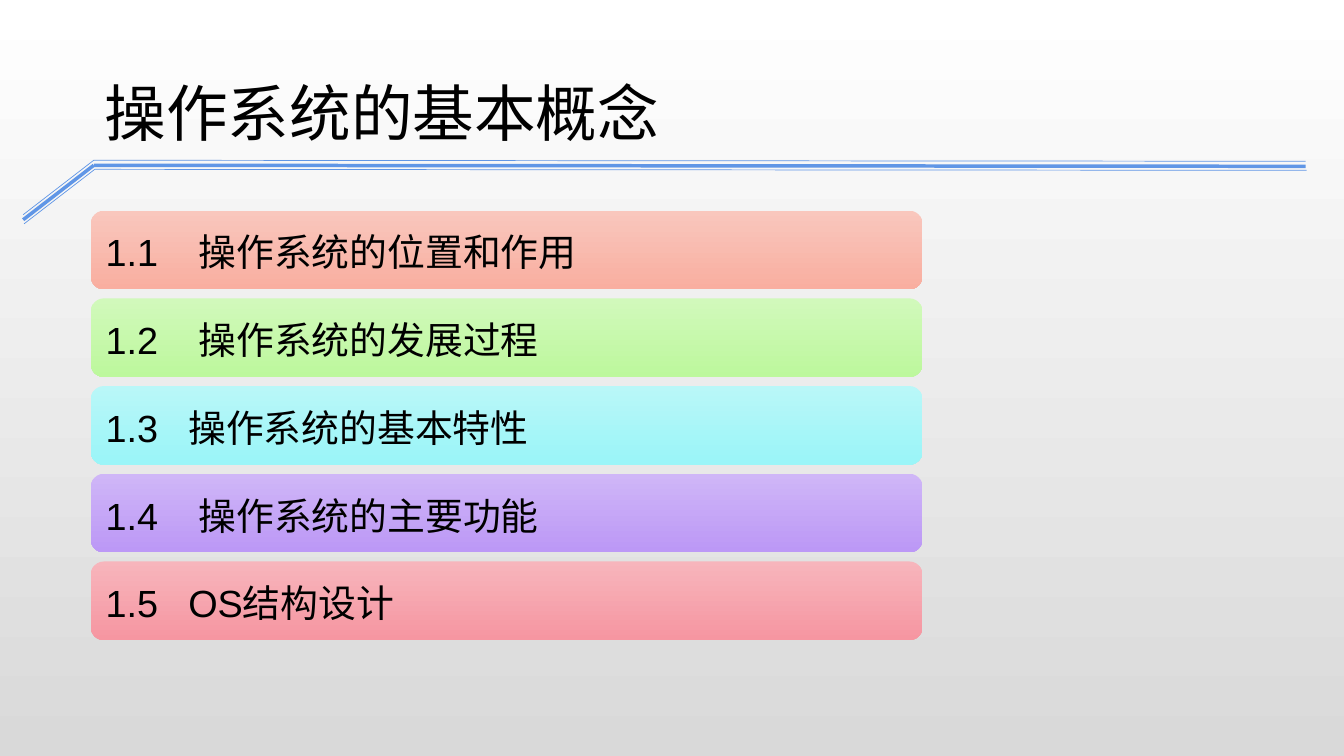
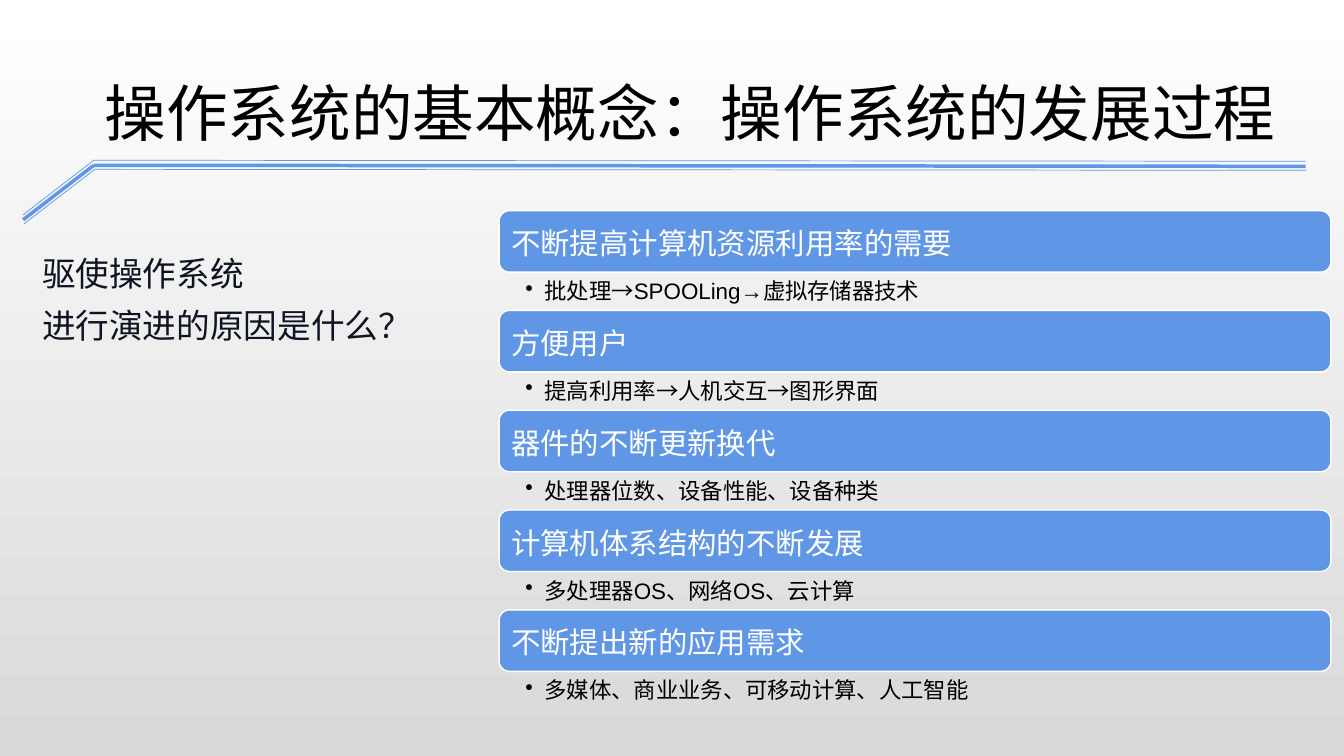
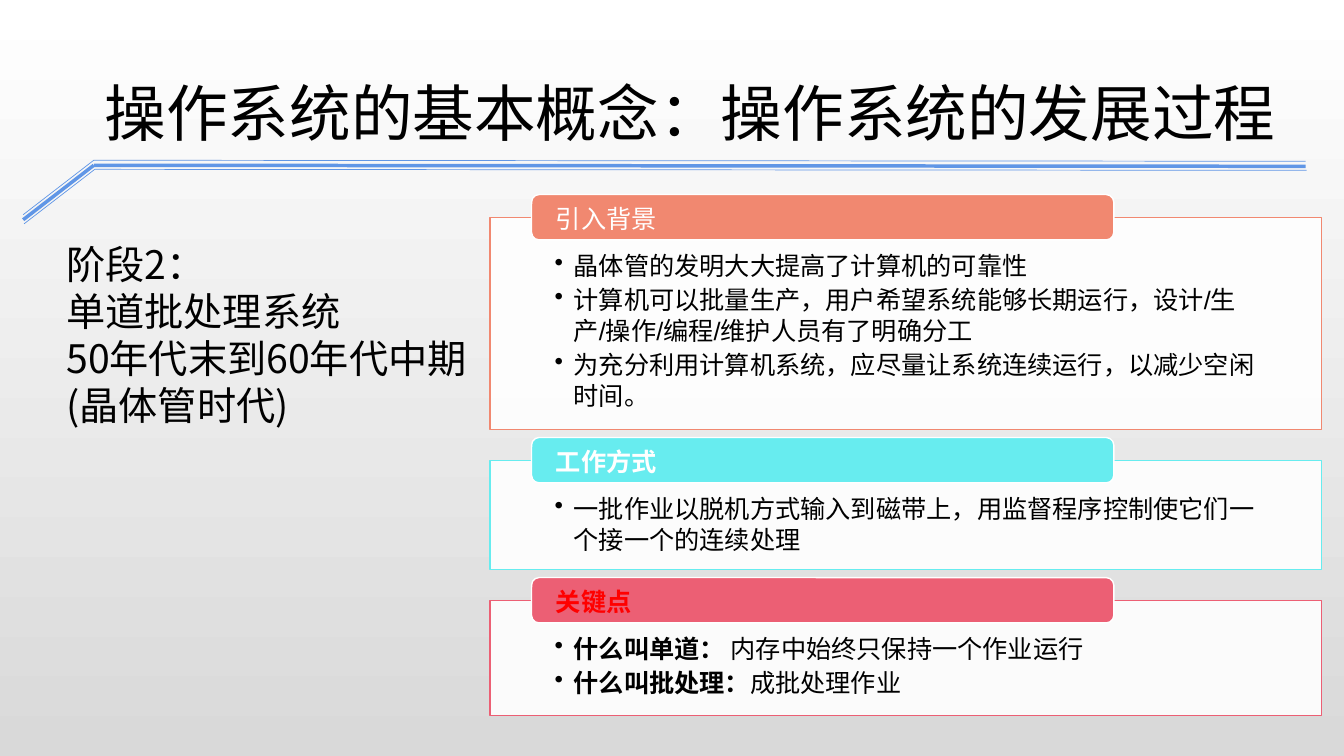
from dataclasses import dataclass

from lxml import etree
from pptx import Presentation
from pptx.dml.color import RGBColor
from pptx.enum.shapes import MSO_CONNECTOR, MSO_SHAPE
from pptx.enum.text import MSO_ANCHOR, PP_ALIGN
from pptx.oxml.ns import qn
from pptx.util import Inches, Pt

ROUND, RECT = MSO_SHAPE.ROUNDED_RECTANGLE, MSO_SHAPE.RECTANGLE
STRAIGHT = MSO_CONNECTOR.STRAIGHT
TOP, MIDDLE = MSO_ANCHOR.TOP, MSO_ANCHOR.MIDDLE
LEFT = PP_ALIGN.LEFT


@dataclass(frozen=True)
class Theme:
    blue: str = "6096E6"
    white: str = "FFFFFF"
    grey: str = "D9D9D9"
    black: str = "000000"
    navy: str = "0F1423"
    red: str = "FF0000"
    coral: str = "F18870"
    cyan: str = "67ECEF"
    rose: str = "EC5F74"
    latin: str = "Arial"
    cjk: str = "Noto Sans CJK JP"
    title: int = 44
    stage: int = 28
    chapter: int = 27
    question: int = 24
    reason: int = 21
    body: int = 18
    detail: int = 16


T = Theme()

# Content
TOPIC = "操作系统的基本概念"
HISTORY = "操作系统的基本概念：操作系统的发展过程"

# number, chapter, tab position, gradient
CHAPTERS = [
    ("1.1", "操作系统的位置和作用", 0.92, ("F9C7BD", "F9AEA0")),
    ("1.2", "操作系统的发展过程", 0.92, ("D1F9BB", "BDF89D")),
    ("1.3", "操作系统的基本特性", 0.82, ("B9F7F8", "9AF5F8")),
    ("1.4", "操作系统的主要功能", 0.92, ("CFB6F7", "BC98F6")),
    ("1.5", "OS结构设计", 0.82, ("F7B5BC", "F696A1")),
]

QUESTION = ["驱使操作系统", "进行演进的原因是什么？"]
REASONS = [
    ("不断提高计算机资源利用率的需要", "批处理→SPOOLing→虚拟存储器技术"),
    ("方便用户", "提高利用率→人机交互→图形界面"),
    ("器件的不断更新换代", "处理器位数、设备性能、设备种类"),
    ("计算机体系结构的不断发展", "多处理器OS、网络OS、云计算"),
    ("不断提出新的应用需求", "多媒体、商业业务、可移动计算、人工智能"),
]

STAGE = ["阶段2：", "单道批处理系统", "50年代末到60年代中期(晶体管时代)"]
# heading, its format, accent, panel height, points (bold lead, rest)
PANELS = [
    ("引入背景", dict(color=T.white), T.coral, 2.1, [
        ("", "晶体管的发明大大提高了计算机的可靠性"),
        ("", "计算机可以批量生产，用户希望系统能够长期运行，"
             "设计/生产/操作/编程/维护人员有了明确分工"),
        ("", "为充分利用计算机系统，应尽量让系统连续运行，以减少空闲时间。"),
    ]),
    ("工作方式", dict(color=T.white, bold=True), T.cyan, 1.08, [
        ("", "一批作业以脱机方式输入到磁带上，用监督程序控制使它们一个接一个的连续处理"),
    ]),
    ("关键点", dict(color=T.red, bold=True), T.rose, 1.14, [
        ("什么叫单道：", " 内存中始终只保持一个作业运行"),
        ("什么叫批处理：", "成批处理作业"),
    ]),
]

# Title rule: one bent path, drawn as three rails (dx, dy, weight)
RULE_PATH = [(0.23, 2.13), (0.93, 1.59), (12.95, 1.6)]
RAILS = [(0, 0, 0.5), (0, 0.05, 2.5), (0.01, 0.09, 0.5)]


# Helpers
def rgb(code):
    return RGBColor.from_string(code)


def gradient(fill, colors):
    fill.gradient()
    fill.gradient_angle = 270
    for stop, color in zip(fill.gradient_stops, colors):
        stop.color.rgb = rgb(color)


def add_run(paragraph, text, size, color, latin, bold=False):
    run = paragraph.add_run()
    run.text = text
    values = dict(size=Pt(size), name=latin, bold=bold)
    for key, value in values.items():
        setattr(run.font, key, value)
    run.font.color.rgb = rgb(color)
    east_asian = etree.SubElement(run.font._element, qn("a:ea"))
    east_asian.set("typeface", T.cjk)


def write(shape, paragraphs, size, color=T.black, latin=T.latin, bold=False,
          insets=(0.1, 0.05, 0.1, 0.05), anchor=TOP, wrap=True,
          leading=1.3, after=0, bullet=False, tab=None):
    """Each paragraph is a string or a (bold lead, rest) pair."""
    frame = shape.text_frame
    sides = ("margin_left", "margin_top", "margin_right", "margin_bottom")
    values = dict(zip(sides, map(Inches, insets)))
    values.update(word_wrap=wrap, vertical_anchor=anchor)
    for key, value in values.items():
        setattr(frame, key, value)
    for i, content in enumerate(paragraphs):
        p = frame.add_paragraph() if i else frame.paragraphs[0]
        props = p._p.get_or_add_pPr()
        if bullet:
            props.set("marL", str(Inches(0.19)))
            props.set("indent", str(Inches(-0.19)))
            etree.SubElement(props, qn("a:buChar")).set("char", "•")
        if tab:
            stops = etree.SubElement(props, qn("a:tabLst"))
            etree.SubElement(stops, qn("a:tab"), pos=str(Inches(tab)), algn="l")
        p.alignment = LEFT
        p.line_spacing = Pt(round(size * leading, 1))
        p.space_after = Pt(after)
        lead, rest = ("", content) if isinstance(content, str) else content
        if lead:
            add_run(p, lead, size, color, latin, True)
        add_run(p, rest, size, color, latin, bold)


def add_text(slide, box, paragraphs, size, **style):
    write(slide.shapes.add_textbox(*map(Inches, box)), paragraphs, size, **style)


def add_box(slide, kind, box, fill, line=None, alpha=None):
    shape = slide.shapes.add_shape(kind, *map(Inches, box))
    shape.shadow.inherit = False
    if isinstance(fill, tuple):
        gradient(shape.fill, fill)
    else:
        shape.fill.solid()
        shape.fill.fore_color.rgb = rgb(fill)
    if alpha:
        color = shape._element.spPr.find(qn("a:solidFill"))[0]
        etree.SubElement(color, qn("a:alpha")).set("val", str(alpha * 1000))
    if line:
        shape.line.color.rgb = rgb(line)
        shape.line.width = Pt(1)
    else:
        shape.line.fill.background()
    return shape


def add_slide(prs, title, title_width):
    slide = prs.slides.add_slide(prs.slide_layouts[6])
    for dx, dy, weight in RAILS:
        for (x1, y1), (x2, y2) in zip(RULE_PATH, RULE_PATH[1:]):
            ends = (x1 + dx, y1 + dy, x2 + dx, y2 + dy)
            rail = slide.shapes.add_connector(STRAIGHT, *map(Inches, ends))
            rail.line.color.rgb = rgb(T.blue)
            rail.line.width = Pt(weight)
            etree.SubElement(rail._element.spPr, qn("a:effectLst"))
    add_text(slide, (0.94, 0.63, title_width, 0.84), [title], T.title, latin=T.cjk)
    return slide


# Slides
def chapters_slide(prs):
    slide = add_slide(prs, TOPIC, 9.52)
    left, top, width, height, gap = 0.9, 2.09, 8.25, 0.78, 0.09
    for row, (number, chapter, tab, colors) in enumerate(CHAPTERS):
        bar = add_box(slide, ROUND, (left, top + row * (height + gap), width, height),
                      colors)
        write(bar, [f"{number}\t{chapter}"], T.chapter, insets=(0.11,) * 4,
              anchor=MIDDLE, tab=tab)


def reasons_slide(prs):
    slide = add_slide(prs, HISTORY, 12.32)
    add_text(slide, (0.32, 2.43, 3.87, 1.07), QUESTION, T.question,
             color=T.navy, latin=T.cjk, wrap=False, after=6)
    left, top, width, bar_height, detail_height = 4.95, 2.09, 8.25, 0.61, 0.38
    for row, (reason, detail) in enumerate(REASONS):
        y = top + row * (bar_height + detail_height)
        bar = add_box(slide, ROUND, (left, y, width, bar_height), T.blue, T.white)
        write(bar, [reason], T.reason, color=T.white, insets=(0.09,) * 4,
              anchor=MIDDLE)
        add_text(slide, (left, y + bar_height, width, detail_height), [detail],
                 T.detail, insets=(0.26, 0.03, 0.16, 0.03), bullet=True)


def stage_slide(prs):
    slide = add_slide(prs, HISTORY, 12.32)
    add_text(slide, (0.56, 2.29, 4.19, 1.98), STAGE, T.stage, latin=T.cjk,
             insets=(0.1, 0.09, 0.1, 0.05), leading=1.2)
    left, y, width, gap = 4.86, 2.16, 8.25, 0.31
    tab_height, tab_rise = 0.45, 0.23
    for heading, style, accent, height, points in PANELS:
        panel = add_box(slide, RECT, (left, y, width, height), T.white, accent, 90)
        write(panel, points, T.body, insets=(0.64, 0.32, 0.64, 0.14),
              leading=1.23, after=2.2, bullet=True)
        tab = add_box(slide, ROUND, (left + width * 0.05, y - tab_rise,
                                     width * 0.7, tab_height), accent, T.white)
        write(tab, [heading], T.body, insets=(0.22, 0, 0.22, 0), anchor=MIDDLE, **style)
        y += height + gap


def main():
    prs = Presentation()
    prs.slide_width, prs.slide_height = Inches(13.33), Inches(7.5)
    gradient(prs.slide_master.background.fill, (T.white, T.grey))
    for build in (chapters_slide, reasons_slide, stage_slide):
        build(prs)
    prs.save("out.pptx")


if __name__ == "__main__":
    main()
